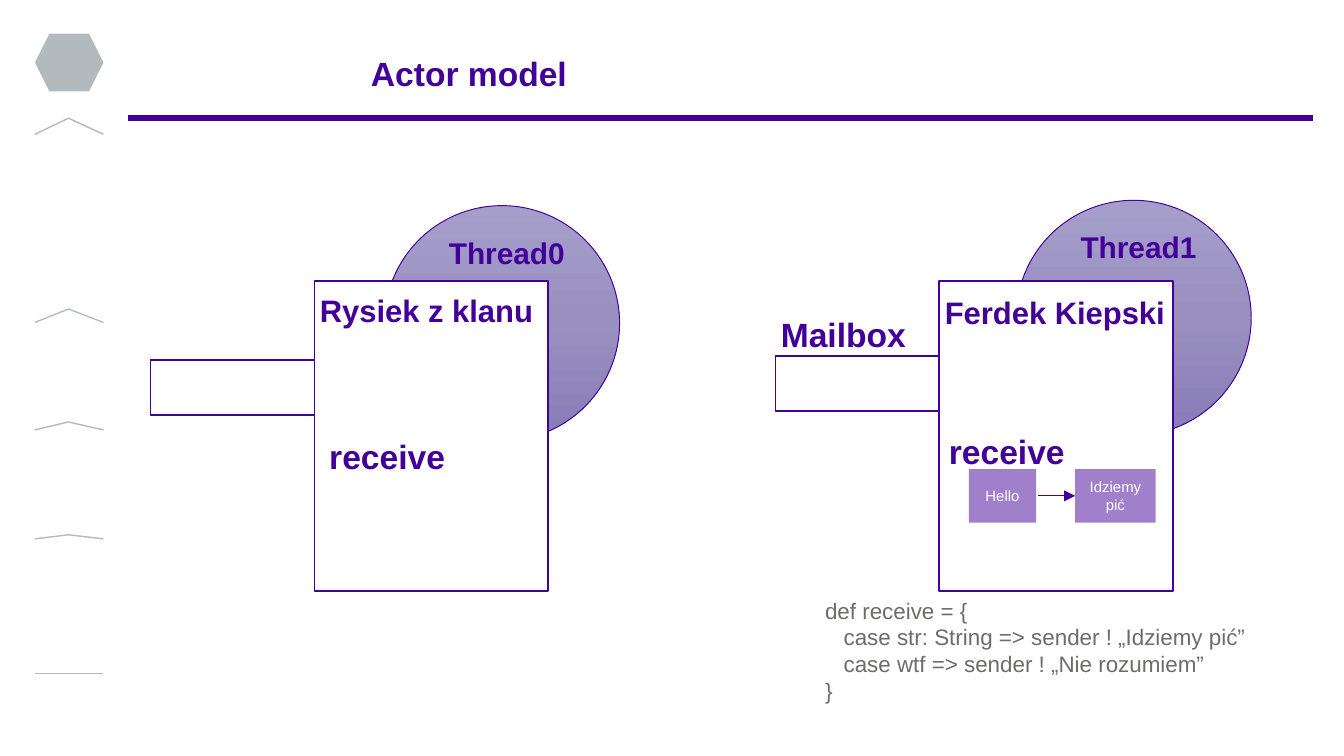
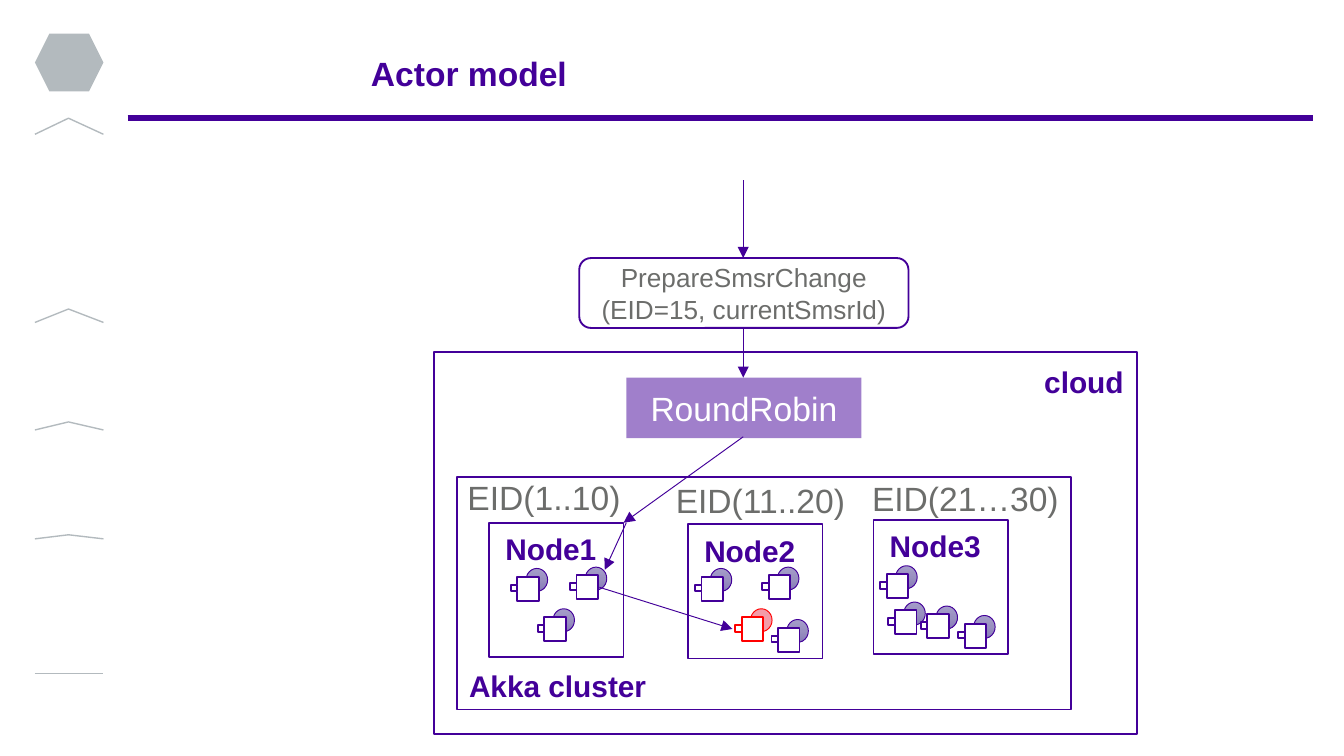
from copy import deepcopy
from dataclasses import dataclass
from typing import NamedTuple, Optional

from lxml.etree import SubElement
from pptx import Presentation
from pptx.dml.color import RGBColor
from pptx.enum.shapes import MSO_CONNECTOR as Link, MSO_SHAPE as Form
from pptx.enum.text import MSO_ANCHOR as Anchor, PP_ALIGN as Align
from pptx.oxml.ns import qn
from pptx.util import Inches, Pt

# The grid has ten columns and ten rows to the inch.
COLUMNS, ROWS = 100, 56.25


@dataclass(frozen=True)
class Theme:
    font: str = "Arial"
    violet: str = "430099"
    grey: str = "6C6D6B"
    rail: str = "B3BABE"
    white: str = "FFFFFF"
    red: str = "FF0000"
    pink: str = "F39CA9"
    thread: tuple[str, ...] = ("A59DCA", "9990C0", "877CB8")
    heading: float = 18
    name: float = 16.6
    label: float = 16
    message: float = 14
    code: float = 12
    tiny: float = 8
    thin: float = 0.5
    rail_line: float = 0.75
    outline: float = 1
    rule: float = 3


THEME = Theme()


class Box(NamedTuple):
    left: float
    top: float
    width: float
    height: float

    def shifted(self, columns: float, rows: float) -> "Box":
        return self._replace(left=self.left + columns, top=self.top + rows)


class Point(NamedTuple):
    column: float
    row: float


class Actor(NamedTuple):
    thread: Box
    body: Box
    mailbox: Box
    thread_fill: Optional[str] = None
    outline: str = THEME.violet


class Label(NamedTuple):
    text: str
    box: Box
    size: float = THEME.label
    spacing: float = 0.9


class Member(NamedTuple):
    """Small actor placed inside a node, measured from the node's corner."""
    column: float
    row: float
    failed: bool = False


class Node(NamedTuple):
    name: str
    corner: Point
    members: tuple[Member, ...]
    range_text: str
    range_box: Box


TITLE = Label("Actor model", Box(27.2, 3.3, 80, 4.7), THEME.heading)
RAIL_MARKS = ((8.8, 10), (23, 24), (31.4, 32), (39.8, 40.1), (50.1, 50.1))

RYSIEK = Actor(Box(28.6, 15.3, 17.5, 17.5), Box(23.4, 20.9, 17.4, 23.1),
               Box(11.2, 26.8, 12.2, 4.1))
FERDEK = Actor(Box(75.6, 14.9, 17.5, 17.5), Box(69.9, 20.9, 17.4, 23.1),
               Box(57.7, 26.5, 12.2, 4.1))
ACTOR_LABELS = (
    Label("Thread0", Box(33, 16.6, 9.7, 4.7)),
    Label("Rysiek z klanu", Box(23.4, 20.9, 17.4, 4.7), THEME.name),
    Label("receive", Box(24.1, 31.8, 14.7, 4.7), THEME.heading),
    Label("Thread1", Box(80, 16.2, 9.7, 4.7)),
    Label("Ferdek Kiepski", Box(69.9, 21.1, 17.4, 4.7), THEME.name, 0.8),
    Label("Mailbox", Box(57.7, 22.7, 17.4, 4.7), THEME.heading),
    Label("receive", Box(70.2, 31.4, 14.7, 4.7), THEME.heading),
)
RECEIVE_CODE = """def receive = {
   case str: String => sender ! „Idziemy pić”
   case wtf => sender ! „Nie rozumiem”
}"""

MINI = Actor(Box(0.65, -0.6, 1.6, 1.7), Box(0, 0, 1.6, 1.8), Box(-0.5, 0.6, 0.5, 0.5))
NODE_SIDE = 10
NODES = (
    Node("Node1", Point(36.4, 38.9),
         (Member(2.1, 4), Member(6.5, 3.9), Member(4.1, 7)),
         "EID(1..10)", Box(33.8, 35, 13.5, 4)),
    Node("Node2", Point(51.2, 39),
         (Member(1, 3.9), Member(6, 3.8), Member(4, 6.9, failed=True), Member(6.7, 7.7)),
         "EID(11..20)", Box(49.3, 35.2, 14.7, 4)),
    Node("Node3", Point(65, 38.7),
         (Member(1, 4), Member(1.6, 6.7), Member(4, 7), Member(6.8, 7.7)),
         "EID(21…30)", Box(63.9, 35.1, 16, 4)),
)
CLUSTER_LABELS = (
    Label("Akka cluster", Box(34.5, 48.8, 17.4, 4.7)),
    Label("cloud", Box(77.3, 26.2, 8.3, 4.7)),
)
ROUTES = (
    (Point(55.3, 13.4), Point(55.3, 19.2)),
    (Point(55.3, 24.4), Point(55.3, 28.1)),
    (Point(55.3, 32.5), Point(46.4, 38.9)),
    (Point(46.6, 38.9), Point(45, 42.4)),
    (Point(44.6, 43.7), Point(54.5, 46.8)),
)


def cells(count: float) -> int:
    return Inches(count / 10)


def rgb(code: str) -> RGBColor:
    return RGBColor.from_string(code)


def write(shape, text: str, *, size: float, color: str, bold: bool = False,
          align=Align.LEFT, anchor=Anchor.TOP, spacing: Optional[float] = None,
          inset: tuple[float, float] = (1, 0.5), wrap: bool = True) -> None:
    frame = shape.text_frame
    frame.word_wrap = wrap
    frame.vertical_anchor = anchor
    frame.margin_left = frame.margin_right = cells(inset[0])
    frame.margin_top = frame.margin_bottom = cells(inset[1])
    for number, line in enumerate(text.split("\n")):
        paragraph = frame.add_paragraph() if number else frame.paragraphs[0]
        paragraph.alignment = align
        if spacing:
            paragraph.line_spacing = spacing
        run = paragraph.add_run()
        run.text = line
        font = run.font
        font.name, font.size, font.bold = THEME.font, Pt(size), bold
        font.color.rgb = rgb(color)


def add_text(slide, box: Box, text: str, **text_format) -> None:
    write(slide.shapes.add_textbox(*map(cells, box)), text, **text_format)


def add_label(slide, label: Label) -> None:
    add_text(slide, label.box, label.text, size=label.size, color=THEME.violet, bold=True,
             anchor=Anchor.MIDDLE, spacing=label.spacing, inset=(0.4, 0))


def add_form(slide, box: Box, form=Form.RECTANGLE, *, fill: str = THEME.white,
             outline: Optional[str] = THEME.violet, weight: float = THEME.outline):
    shape = slide.shapes.add_shape(form, *map(cells, box))
    shape.shadow.inherit = False
    shape.fill.solid()
    shape.fill.fore_color.rgb = rgb(fill)
    if outline:
        shape.line.color.rgb = rgb(outline)
        shape.line.width = Pt(weight)
    else:
        shape.line.fill.background()
    return shape


def shade_thread(shape) -> None:
    """Fill top to bottom with the three thread tints."""
    shape.fill.gradient()
    shape.fill.gradient_angle = 270
    stop_list = shape._element.spPr.find(".//" + qn("a:gsLst"))
    stop_list.insert(1, deepcopy(stop_list[0]))
    for stop, tint, position in zip(shape.fill.gradient_stops, THEME.thread, (0, 0.5, 1)):
        stop.color.rgb = rgb(tint)
        stop.position = position


def add_actor(slide, actor: Actor) -> None:
    thread = add_form(slide, actor.thread, Form.OVAL, fill=actor.thread_fill or THEME.white,
                      outline=actor.outline, weight=THEME.thin)
    if not actor.thread_fill:
        shade_thread(thread)
    for box in (actor.body, actor.mailbox):
        add_form(slide, box, outline=actor.outline)


def add_message(slide, box: Box, text: str, size: float) -> None:
    """Draw a half-transparent violet block with white text."""
    block = add_form(slide, box, fill=THEME.violet, outline=None)
    color = block._element.spPr.find(".//" + qn("a:srgbClr"))
    SubElement(color, qn("a:alpha")).set("val", "50000")
    write(block, text, size=size, color=THEME.white, align=Align.CENTER, anchor=Anchor.MIDDLE)


def add_line(slide, start: Point, end: Point, weight: float = THEME.thin,
             arrow: bool = True) -> None:
    line = slide.shapes.add_connector(Link.STRAIGHT, *map(cells, start + end))
    line.line.color.rgb = rgb(THEME.violet)
    line.line.width = Pt(weight)
    if arrow:
        SubElement(line.line._get_or_add_ln(), qn("a:tailEnd")).set("type", "triangle")
    SubElement(line._element.spPr, qn("a:effectLst"))


def add_rail(slide) -> None:
    """Draw the column of flattening chevrons as one outline."""
    chevrons = [[(cells(column), cells(row))
                 for column, row in ((2.6, base), (5.1, peak), (7.7, base))]
                for peak, base in RAIL_MARKS]
    builder = slide.shapes.build_freeform(*chevrons[0][0], scale=1.0)
    for start, *rest in chevrons:
        builder.move_to(*start)
        builder.add_line_segments(rest, close=False)
    rail = builder.convert_to_shape()
    rail.shadow.inherit = False
    rail.fill.background()
    rail.line.color.rgb = rgb(THEME.rail)
    rail.line.width = Pt(THEME.rail_line)


def start_slide(deck):
    slide = deck.slides.add_slide(deck.slide_layouts[6])
    add_form(slide, Box(2.6, 2.5, 5.1, 4.3), Form.HEXAGON, fill=THEME.rail, outline=None)
    add_rail(slide)
    add_line(slide, Point(9.5, 8.8), Point(97.7, 8.8), THEME.rule, arrow=False)
    add_label(slide, TITLE)
    return slide


def draw_mailboxes(deck) -> None:
    slide = start_slide(deck)
    for actor in (RYSIEK, FERDEK):
        add_actor(slide, actor)
    for label in ACTOR_LABELS:
        add_label(slide, label)
    add_message(slide, Box(72.1, 34.9, 5, 4), "Hello", THEME.tiny)
    add_message(slide, Box(80, 34.9, 6, 4), "Idziemy pić", THEME.tiny)
    add_line(slide, Point(77.2, 36.9), Point(80, 36.9))
    add_text(slide, Box(60.4, 43.9, 35.8, 9.1), RECEIVE_CODE, size=THEME.code, color=THEME.grey)


def add_node(slide, node: Node) -> None:
    add_form(slide, Box(*node.corner, NODE_SIDE, NODE_SIDE))
    add_label(slide, Label(node.name, Box(0.8, -0.25, 9.2, 4.7).shifted(*node.corner)))
    for member in node.members:
        place = (node.corner.column + member.column, node.corner.row + member.row)
        parts = [box.shifted(*place) for box in (MINI.thread, MINI.body, MINI.mailbox)]
        colors = (THEME.pink, THEME.red) if member.failed else ()
        add_actor(slide, Actor(*parts, *colors))


def draw_cluster(deck) -> None:
    slide = start_slide(deck)
    cloud, cluster = Box(32.3, 26.2, 52.3, 28.4), Box(34, 35.5, 45.7, 17.3)
    for area in (cloud, cluster):
        add_form(slide, area)
    for node in NODES:
        add_node(slide, node)
    request = add_form(slide, Box(43.1, 19.2, 24.5, 5.2), Form.ROUNDED_RECTANGLE)
    write(request, "PrepareSmsrChange\n(EID=15, currentSmsrId)", size=THEME.message,
          color=THEME.grey, align=Align.CENTER, anchor=Anchor.MIDDLE)
    add_message(slide, Box(46.6, 28.1, 17.5, 4.5), "RoundRobin", THEME.heading)
    for label in CLUSTER_LABELS:
        add_label(slide, label)
    for start, end in ROUTES:
        add_line(slide, start, end)
    for node in NODES:
        add_text(slide, node.range_box, node.range_text, size=THEME.heading,
                 color=THEME.grey, wrap=False)


def main() -> None:
    deck = Presentation()
    deck.slide_width, deck.slide_height = cells(COLUMNS), cells(ROWS)
    draw_mailboxes(deck)
    draw_cluster(deck)
    deck.save("out.pptx")


if __name__ == "__main__":
    main()
